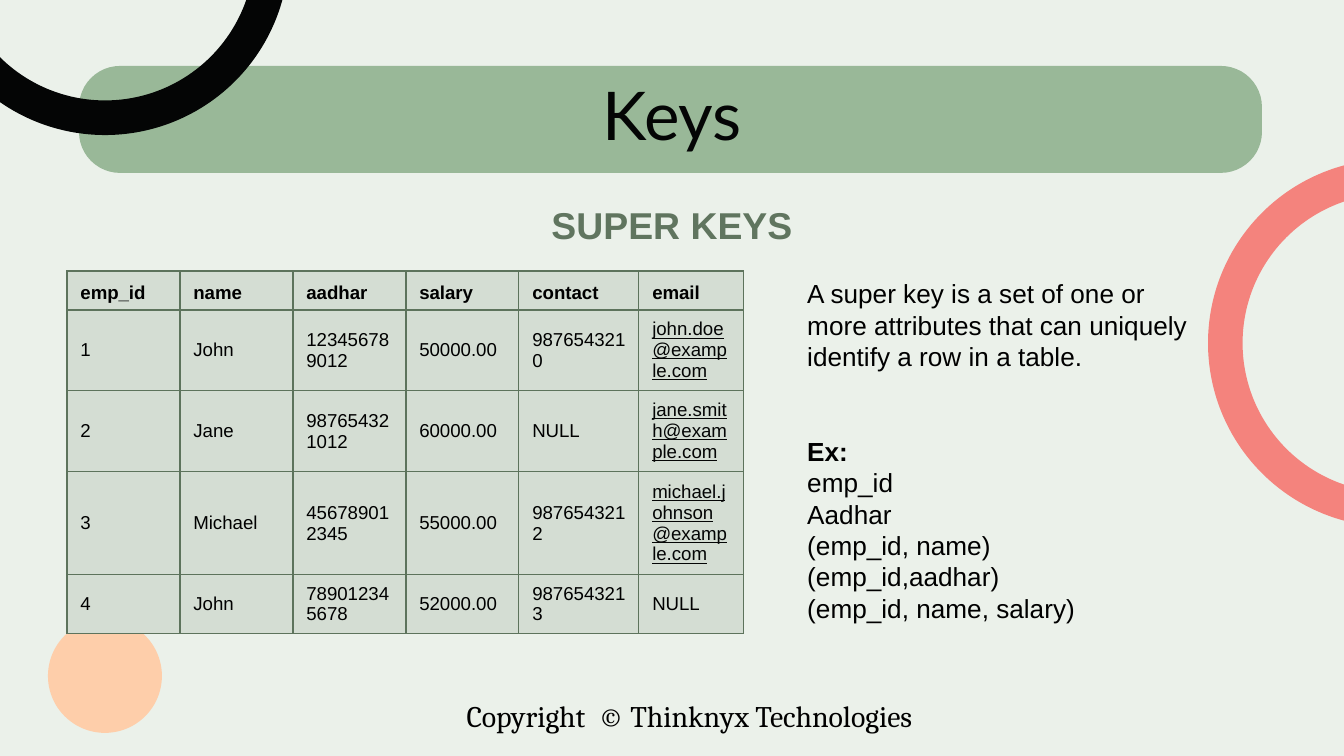
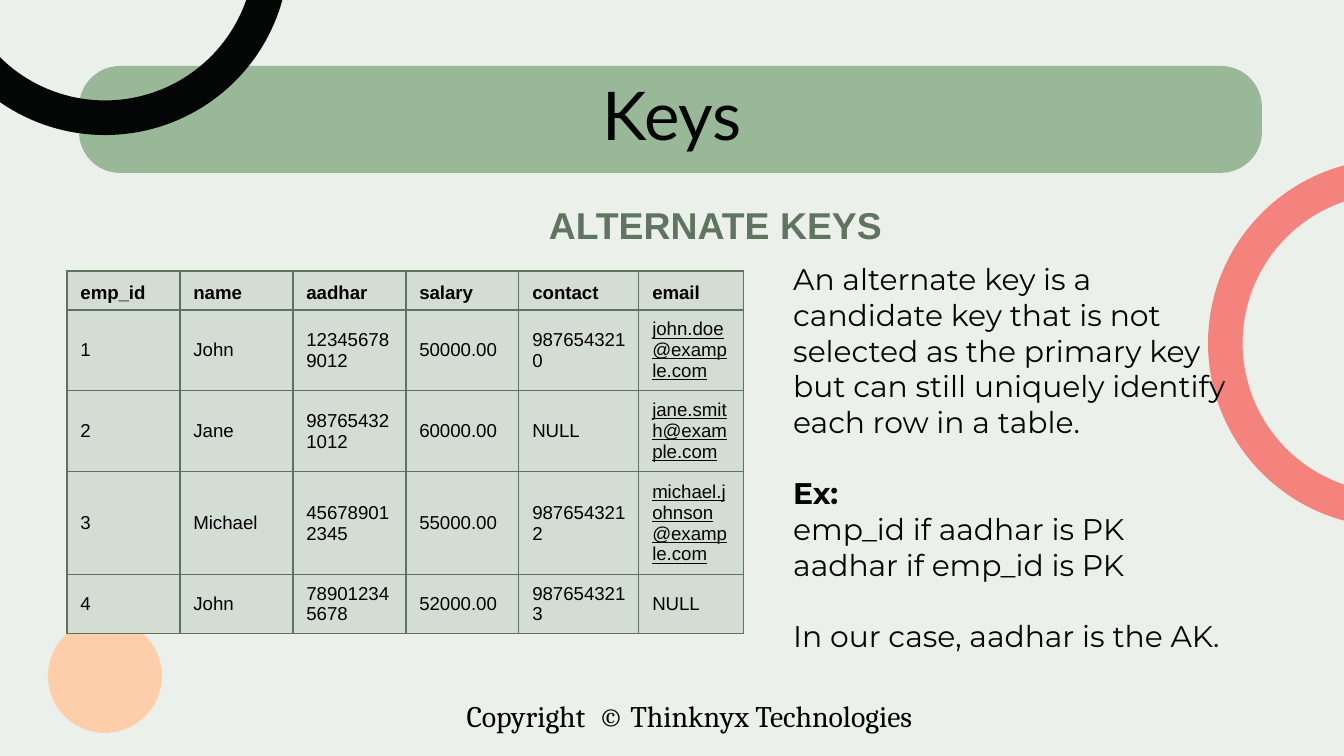
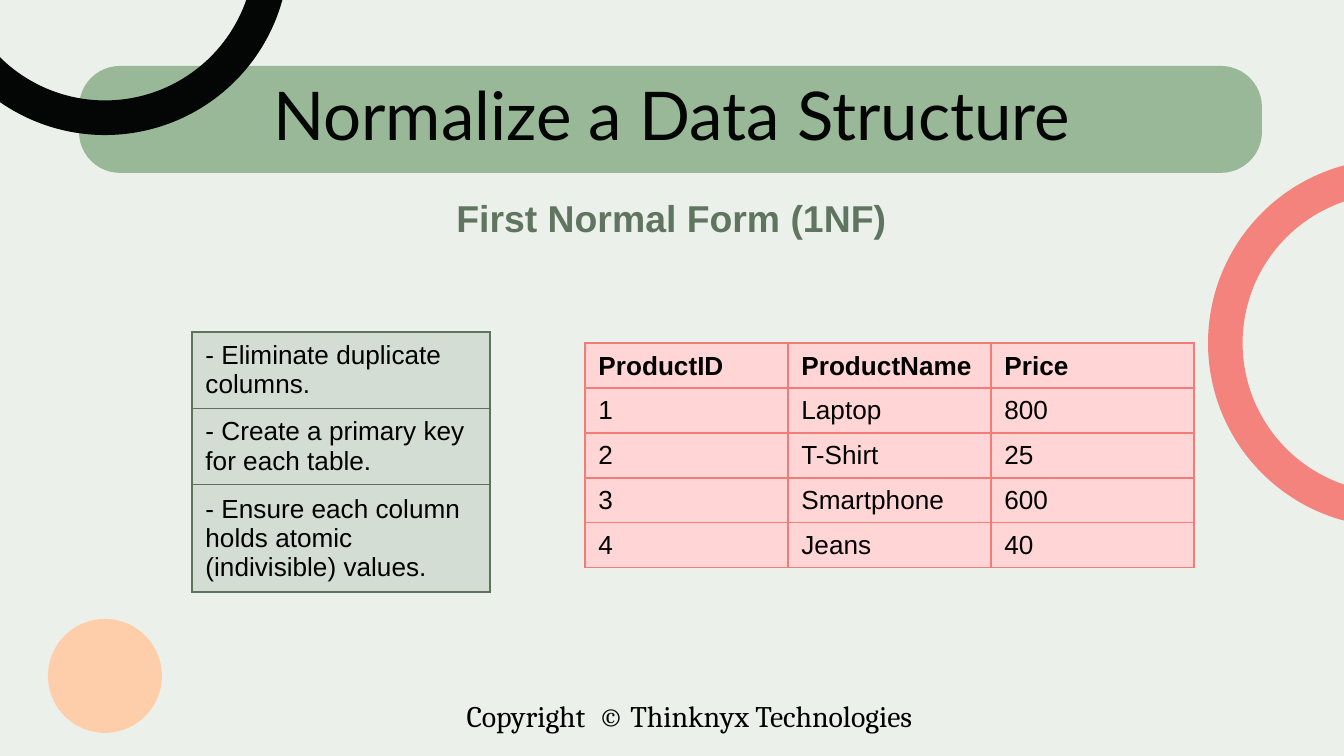
from lxml.etree import SubElement
from pptx import Presentation
from pptx.dml.color import RGBColor as Rgb
from pptx.enum.shapes import MSO_SHAPE as Shape
from pptx.enum.text import MSO_ANCHOR as Anchor, PP_ALIGN as Align
from pptx.oxml import parse_xml
from pptx.oxml.ns import nsdecls, qn
from pptx.util import Emu, Pt

SCALE = 914400 / 134.4
WIDE, HIGH = 1344, 756
HUES = {
    "page": "EBF1EA", "band": "99B898", "peach": "FECEAA", "coral": "F4837D",
    "ink": "040505", "black": "000000", "moss": "60755F",
    "sage": "D4DDD3", "edge": "5D735C", "pink": "FFD6D5", "rose": "F27D77",
}
FONTS = {
    "title": dict(name="Lato", size=Pt(36), hue="ink"),
    "head": dict(name="Arial", size=Pt(20), bold=True, hue="moss"),
    "foot": dict(name="Cambria", size=Pt(16), hue="black"),
    "body": dict(name="Arial", size=Pt(14), bold=False, hue="black"),
    "wide": dict(name="Montserrat", size=Pt(16), bold=False, hue="ink"),
    "cell": dict(name="Arial", size=Pt(10), bold=False, hue="black"),
}
GREEN = ("sage", "edge")
RED = ("pink", "rose")
DECOR = [
    (Shape.ROUNDED_RECTANGLE, (79, 66, 1183, 107), 0, [0.384], "band"),
    (Shape.OVAL, (48, 619, 114, 114), 0, [], "peach"),
    (Shape.BLOCK_ARC, (1208, 159, 368, 368), 270, [108, 0.442, 0.094], "coral"),
    (Shape.BLOCK_ARC, (-79, -233, 368, 368), 180, [108, 0.442, 0.094], "ink"),
]
STAFF = [
    ["emp_id", "name", "aadhar", "salary", "contact", "email"],
    ["1", "John", "123456789012", "50000.00", "9876543210", "john.doe@example.com"],
    ["2", "Jane", "987654321012", "60000.00", "NULL", "jane.smith@example.com"],
    ["3", "Michael", "456789012345", "55000.00", "9876543212",
     "michael.johnson@example.com"],
    ["4", "John", "789012345678", "52000.00", "9876543213", "NULL"],
]
GOODS = [
    ["ProductID", "ProductName", "Price"],
    ["1", "Laptop", "800"],
    ["2", "T-Shirt", "25"],
    ["3", "Smartphone", "600"],
    ["4", "Jeans", "40"],
]
RULES = [
    ["- Eliminate duplicate columns."],
    ["- Create a primary key for each table."],
    ["- Ensure each column holds atomic (indivisible) values."],
]


def px(num):
    return Emu(round(num * SCALE))


def place(box):
    return [px(num) for num in box]


def color(hue):
    return Rgb.from_string(HUES[hue])


def style(font, look):
    for key, val in look.items():
        if key == "hue":
            font.color.rgb = color(val)
        else:
            setattr(font, key, val)


def write(slide, box, lines, look, wrap=True, inset=None, anchor=Anchor.TOP, **form):
    frame = slide.shapes.add_textbox(*place(box)).text_frame
    frame.word_wrap = wrap
    frame.vertical_anchor = anchor
    if inset is not None:
        for side in ("left", "top", "right", "bottom"):
            setattr(frame, "margin_" + side, px(inset))
    for num, (text, extra) in enumerate(lines):
        para = frame.paragraphs[0] if num == 0 else frame.add_paragraph()
        for key, val in (form | extra.get("para", {})).items():
            setattr(para, key, val)
        run = para.add_run()
        run.text = text
        style(run.font, FONTS[look] | extra.get("font", {}))


def border(cell, hue):
    props = cell._tc.get_or_add_tcPr()
    for num, side in enumerate("LRTB"):
        line = parse_xml(f'<a:ln{side} {nsdecls("a")} w="{Pt(0.75)}"/>')
        fill = SubElement(line, qn("a:solidFill"))
        SubElement(fill, qn("a:srgbClr"), val=HUES[hue])
        props.insert(num, line)


def grid(slide, spot, cols, rows, data, look, hues, header=True):
    box = (*spot, sum(cols), sum(rows))
    table = slide.shapes.add_table(len(rows), len(cols), *place(box)).table
    table.first_row = header
    table.horz_banding = False
    for col, wide in zip(table.columns, cols):
        col.width = px(wide)
    for r, (row, high) in enumerate(zip(data, rows)):
        table.rows[r].height = px(high)
        top = header and r == 0
        for c, text in enumerate(row):
            cell = table.cell(r, c)
            cell.text = text
            cell.vertical_anchor = Anchor.BOTTOM if top else Anchor.MIDDLE
            cell.fill.solid()
            cell.fill.fore_color.rgb = color(hues[0])
            border(cell, hues[1])
            extra = {"bold": top}
            if "@" in text:
                extra |= {"underline": True, "hue": "ink"}
            style(cell.text_frame.paragraphs[0].runs[0].font, FONTS[look] | extra)


def frame(deck, title, head, box):
    slide = deck.slides.add_slide(deck.slide_layouts[6])
    back = slide.background.fill
    back.solid()
    back.fore_color.rgb = color("page")
    write(slide, (422, 691, 535, 50), [("Copyright  © Thinknyx Technologies", {})],
          "foot", wrap=False, alignment=Align.CENTER)
    for kind, spot, turn, bends, hue in DECOR:
        item = slide.shapes.add_shape(kind, *place(spot))
        item.rotation = turn
        for num, bend in enumerate(bends):
            item.adjustments[num] = bend
        item.shadow.inherit = False
        item.fill.solid()
        item.fill.fore_color.rgb = color(hue)
        item.line.fill.background()
    write(slide, (105, 90, 1134, 63), [(title, {})], "title", inset=0,
          anchor=Anchor.MIDDLE, alignment=Align.CENTER, line_spacing=0.8)
    write(slide, box, [(head, {})], "head", alignment=Align.CENTER)
    return slide


def keys(deck, head, wide, box, look, lines, **form):
    slide = frame(deck, "Keys", head, (493, 196, wide, 59))
    grid(slide, (67, 271), [113] * 4 + [120, 105], [39, 79, 79, 101, 57],
         STAFF, "cell", GREEN)
    write(slide, box, lines, look, **form)


def normal(deck):
    slide = frame(deck, "Normalize a Data Structure", "First Normal Form (1NF)",
                  (367, 189, 609, 59))
    grid(slide, (192, 332), [298], [76, 76, 107], RULES, "body", GREEN, header=False)
    grid(slide, (585, 343), [203] * 3, [45] * 5, GOODS, "body", RED)


def gap(size, **font):
    return {"para": {"space_before": Pt(size)}, "font": font}


def main():
    deck = Presentation()
    deck.slide_width, deck.slide_height = px(WIDE), px(HIGH)
    keys(deck, "SUPER KEYS", 358, (794, 271, 410, 362), "body", [
        ("A super key is a set of one or more attributes that can uniquely "
         "identify a row in a table.", {}),
        ("Ex:", gap(34, bold=True)),
        ("emp_id", {}),
        ("Aadhar", {}),
        ("(emp_id, name)", {}),
        ("(emp_id,aadhar)", {}),
        ("(emp_id, name, salary)", {}),
    ], line_spacing=Pt(16.8))
    keys(deck, "ALTERNATE KEYS", 445, (780, 254, 460, 411), "wide", [
        ("An alternate key is a candidate key that is not selected as the "
         "primary key but can still uniquely identify each row in a table.", {}),
        ("Ex:", gap(19, bold=True)),
        ("emp_id if aadhar is PK", {}),
        ("aadhar if emp_id is PK", {}),
        ("In our case, aadhar is the AK.", gap(19)),
    ])
    normal(deck)
    deck.save("out.pptx")


if __name__ == "__main__":
    main()
